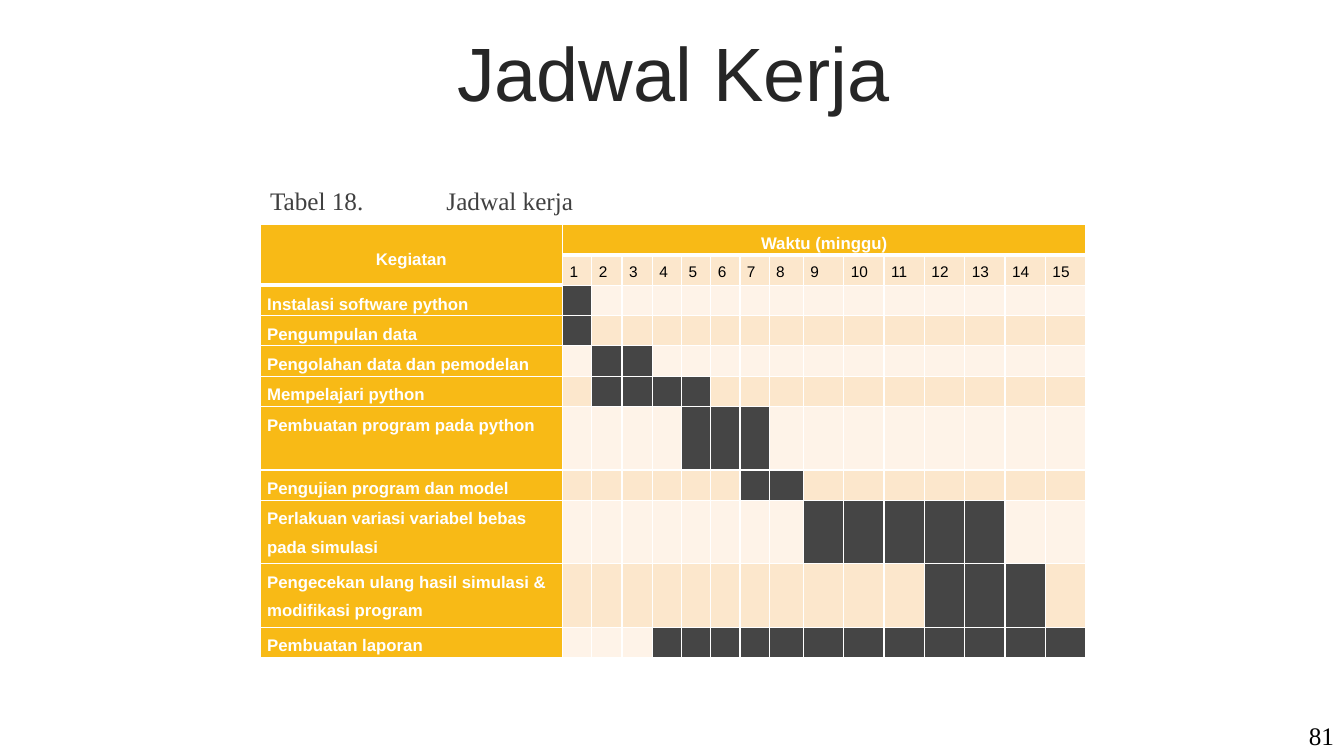
from typing import NamedTuple

from lxml import etree
from pptx import Presentation
from pptx.dml.color import RGBColor
from pptx.enum.text import MSO_ANCHOR, PP_ALIGN
from pptx.oxml.ns import qn
from pptx.util import Inches, Pt

LEFT, CENTER, RIGHT = PP_ALIGN.LEFT, PP_ALIGN.CENTER, PP_ALIGN.RIGHT
TOP, MIDDLE = MSO_ANCHOR.TOP, MSO_ANCHOR.MIDDLE

SANS, SERIF = "Arial", "Times New Roman"
WHITE, BLACK = "FFFFFF", "000000"
GOLD, CHARCOAL = "F8BA16", "454545"
BANDS = ("FEF3E8", "FCE7CC")
SINGLE, DOUBLE = 0.3, 0.63


class Activity(NamedTuple):
    name: str
    first_week: int
    last_week: int
    height: float = SINGLE


ACTIVITIES = [
    Activity("Instalasi software python", 1, 1),
    Activity("Pengumpulan data", 1, 1),
    Activity("Pengolahan data dan pemodelan", 2, 3),
    Activity("Mempelajari python", 2, 5),
    Activity("Pembuatan program pada python", 5, 7, DOUBLE),
    Activity("Pengujian program dan model", 7, 8),
    Activity("Perlakuan variasi variabel bebas pada simulasi", 9, 13, DOUBLE),
    Activity("Pengecekan ulang hasil simulasi & modifikasi program", 12, 14, DOUBLE),
    Activity("Pembuatan laporan", 4, 15),
]
WEEK_WIDTHS = [0.29, 0.3, 0.3, 0.29, 0.29, 0.29, 0.29, 0.34] + [0.4] * 7
COLUMN_WIDTHS = [3.0] + WEEK_WIDTHS
ROW_HEIGHTS = [0.3, 0.27] + [activity.height for activity in ACTIVITIES]
WEEKS = range(1, len(WEEK_WIDTHS) + 1)


def rgb(value: str) -> RGBColor:
    return RGBColor.from_string(value)


def write(frame, text: str, *, size: float, color: str, font: str = SANS,
          bold: bool = False, align=LEFT, spacing: float = 1.0):
    paragraph = frame.paragraphs[0]
    paragraph.alignment = align
    paragraph.line_spacing = spacing
    run = paragraph.add_run()
    run.text = text
    run.font.name = font
    run.font.size = Pt(size)
    run.font.bold = bold
    run.font.color.rgb = rgb(color)
    return paragraph


def add_text(slide, box: tuple, text: str, *, anchor=TOP, **text_format):
    frame = slide.shapes.add_textbox(*map(Inches, box)).text_frame
    frame.word_wrap = True
    frame.vertical_anchor = anchor
    return write(frame, text, **text_format)


def style_cell(cell, fill: str, bottom_width: float = 1) -> None:
    cell.margin_left = cell.margin_right = Inches(0.07)
    cell.margin_top = cell.margin_bottom = 0
    properties = cell._tc.get_or_add_tcPr()
    for side, width in (("L", 1), ("R", 1), ("T", 1), ("B", bottom_width)):
        line = etree.SubElement(properties, qn(f"a:ln{side}"), w=str(Pt(width)))
        solid = etree.SubElement(line, qn("a:solidFill"))
        etree.SubElement(solid, qn("a:srgbClr"), val=WHITE)
    cell.fill.solid()
    cell.fill.fore_color.rgb = rgb(fill)


def add_header(table) -> None:
    for column in range(len(COLUMN_WIDTHS)):
        style_cell(table.cell(0, column), GOLD, 3)
    style_cell(table.cell(1, 0), GOLD, 3)
    activity_heading, time_heading = table.cell(0, 0), table.cell(0, 1)
    activity_heading.merge(table.cell(1, 0))
    time_heading.merge(table.cell(0, len(WEEKS)))
    activity_heading.vertical_anchor = MIDDLE
    for heading, text in ((activity_heading, "Kegiatan"), (time_heading, "Waktu (minggu)")):
        write(heading.text_frame, text, size=12, color=WHITE, bold=True,
              align=CENTER, spacing=1.5)
    for week in WEEKS:
        week_cell = table.cell(1, week)
        style_cell(week_cell, BANDS[1])
        write(week_cell.text_frame, str(week), size=11, color=BLACK, spacing=1.5)


def add_activity(table, row: int, activity: Activity) -> None:
    name_cell = table.cell(row, 0)
    style_cell(name_cell, GOLD)
    write(name_cell.text_frame, activity.name, size=12, color=WHITE, bold=True, spacing=1.5)
    for week in WEEKS:
        active = activity.first_week <= week <= activity.last_week
        style_cell(table.cell(row, week), CHARCOAL if active else BANDS[row % 2])


def add_schedule(slide) -> None:
    table = slide.shapes.add_table(
        len(ROW_HEIGHTS), len(COLUMN_WIDTHS), Inches(2.58), Inches(2.23),
        Inches(sum(COLUMN_WIDTHS)), Inches(sum(ROW_HEIGHTS))).table
    table.first_row = table.horz_banding = False
    for column, width in zip(table.columns, COLUMN_WIDTHS):
        column.width = Inches(width)
    for row, height in zip(table.rows, ROW_HEIGHTS):
        row.height = Inches(height)
    add_header(table)
    for row, activity in enumerate(ACTIVITIES, start=2):
        add_activity(table, row, activity)


def main() -> None:
    presentation = Presentation()
    presentation.slide_width = Inches(13.33)
    presentation.slide_height = Inches(7.5)
    slide = presentation.slides.add_slide(presentation.slide_layouts[6])

    add_text(slide, (12.62, 7.1, 0.71, 0.4), "81", size=18, color=BLACK,
             font=SERIF, align=RIGHT)
    add_text(slide, (0.35, 0.37, 12.66, 0.79), "Jadwal Kerja", size=54,
             color="262626", align=CENTER, anchor=MIDDLE, spacing=0.9)
    add_schedule(slide)
    caption = add_text(slide, (2.58, 1.79, 4.48, 0.4), "Tabel 18. \tJadwal kerja",
                       size=18, color="404040", font=SERIF, anchor=MIDDLE)
    caption_properties = caption._p.get_or_add_pPr()
    caption_properties.set("marL", str(Inches(0.75)))
    caption_properties.set("indent", str(Inches(-0.75)))
    caption_properties.set("defTabSz", str(Inches(1)))

    presentation.save("out.pptx")


if __name__ == "__main__":
    main()
